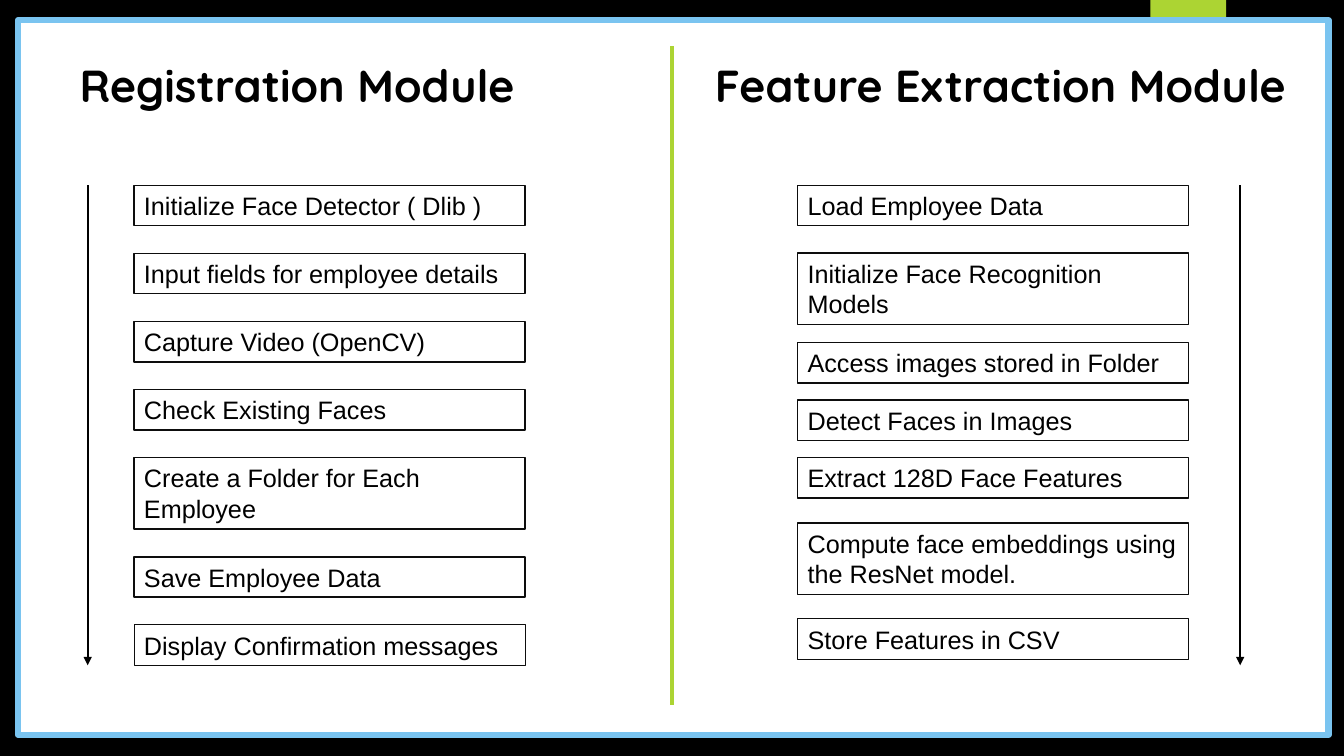
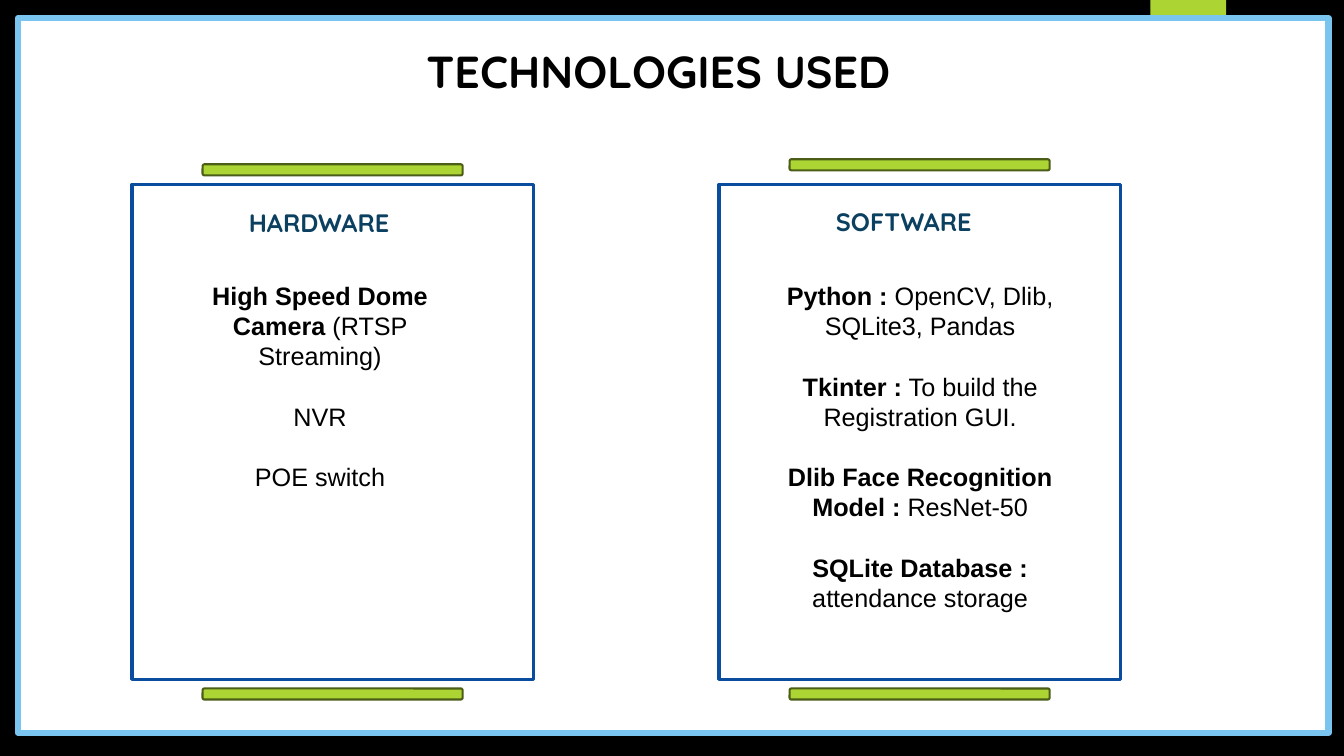
from lxml.etree import SubElement
from pptx import Presentation
from pptx.dml.color import RGBColor
from pptx.enum.shapes import MSO_CONNECTOR, MSO_SHAPE
from pptx.enum.text import MSO_ANCHOR, MSO_AUTO_SIZE, PP_ALIGN
from pptx.oxml.ns import qn
from pptx.util import Inches, Pt

COLORS = {
    "black": "000000", "white": "FFFFFF", "green": "ACD433", "olive": "4B5D16",
    "sky": "7AC4F0", "blue": "0A4D9E", "navy": "0B4060", "ink": "0D0D0D",
}
C = {name: RGBColor.from_string(value) for name, value in COLORS.items()}

prs = Presentation()
prs.slide_width, prs.slide_height = Inches(13.33), Inches(7.5)
COL, ROW = prs.slide_width / 40, prs.slide_height / 30


def box(s, x, y, w, h, fill=None, line=None, width=1, kind=MSO_SHAPE.RECTANGLE):
    sp = s.shapes.add_shape(kind, int(x * COL), int(y * ROW), int(w * COL), int(h * ROW))
    sp.shadow.inherit = False
    if fill:
        sp.fill.solid()
        sp.fill.fore_color.rgb = C[fill]
    else:
        sp.fill.background()
    if line:
        sp.line.color.rgb = C[line]
        sp.line.width = Pt(width)
    else:
        sp.line.fill.background()
    return sp


def write(sp, x, y, w, h, paragraphs, size=18, font="Arial", color="black",
          align=PP_ALIGN.LEFT, gap=0):
    sp.left, sp.top, sp.width, sp.height = int(x * COL), int(y * ROW), int(w * COL), int(h * ROW)
    tf = sp.text_frame
    tf.word_wrap = True
    tf.auto_size = MSO_AUTO_SIZE.SHAPE_TO_FIT_TEXT
    tf.vertical_anchor = MSO_ANCHOR.TOP
    for i, runs in enumerate(paragraphs):
        p = tf.add_paragraph() if i else tf.paragraphs[0]
        p.alignment = align
        p.space_before = Pt(gap if i else 0)
        for text, bold in runs:
            r = p.add_run()
            r.text = text
            r.font.name, r.font.size, r.font.bold = font, Pt(size), bold
            r.font.color.rgb = C[color]


background = prs.slide_master.background.fill
background.solid()
background.fore_color.rgb = C["black"]
layout = prs.slide_layouts[5]
TITLE = {"size": 32, "font": "Quicksand"}

modules, technologies = [prs.slides.add_slide(layout) for _ in range(2)]
tab = box(modules, 34.24, 0, 2.25, 5, "green")
layout.shapes._spTree.insert(2, tab._element)
for s, top in ((modules, 0.8), (technologies, 0.72)):
    frame = box(s, 0.54, top, 39, 28.36, "white", "sky", 4.5)
    s.shapes._spTree.insert(2, frame._element)

s = modules
write(s.shapes.title, 2.07, 2.08, 15.12, 2.56, [[("Registration Module", True)]], **TITLE)
write(s.shapes.add_textbox(0, 0, 0, 0), 20.98, 2.08, 17.94, 2.56,
      [[("Feature Extraction Module", True)]], **TITLE)

FIRST, LAST = 7.36, 26.4
HEIGHTS = {1: 1.6, 2: 2.84}
registration = [
    ("Initialize Face Detector ( Dlib )", 1),
    ("Input fields for employee details", 1),
    ("Capture Video (OpenCV)", 1),
    ("Check Existing Faces", 1),
    ("Create a Folder for Each Employee", 2),
    ("Save Employee Data", 1),
    ("Display Confirmation messages", 1),
]
extraction = [
    ("Load Employee Data", 1),
    ("Initialize Face Recognition Models", 2),
    ("Access images stored in Folder", 1),
    ("Detect Faces in Images", 1),
    ("Extract 128D Face Features", 1),
    ("Compute face embeddings using the ResNet model.", 2),
    ("Store Features in CSV", 1),
]
heights = [HEIGHTS[lines] for _, lines in registration]
gap = (LAST - FIRST - sum(heights)) / (len(heights) - 1)
registration_tops = [FIRST + sum(heights[:i]) + i * gap for i in range(len(heights))]
extraction_tops = [FIRST, 10.04, 13.6, 15.88, 18.16, 20.76, 24.56]

for x, steps, tops in ((3.99, registration, registration_tops),
                       (23.74, extraction, extraction_tops)):
    for (text, lines), y in zip(steps, tops):
        place = (x, y, 11.64, HEIGHTS[lines])
        width = 0.75 if y == tops[-1] else 1
        write(box(s, *place, line="ink", width=width), *place, [[(text, False)]])

for x, top, bottom, color, width, arrow in (
        (20, 1.84, 27.96, "green", 3, False),
        (2.61, FIRST, LAST, "black", 1.5, True),
        (36.91, FIRST, LAST, "black", 1.5, True)):
    line = s.shapes.add_connector(MSO_CONNECTOR.STRAIGHT, int(x * COL), int(top * ROW),
                                  int(x * COL), int(bottom * ROW))
    line.line.color.rgb = C[color]
    line.line.width = Pt(width)
    spPr = line._element.spPr
    if arrow:
        SubElement(spPr.get_or_add_ln(), qn("a:tailEnd"), type="triangle")
    SubElement(spPr, qn("a:effectLst"))

s = technologies
write(s.shapes.title, 12.39, 1.52, 24.22, 2.56, [[("TECHNOLOGIES USED", True)]], **TITLE)

hardware = [
    [("High Speed Dome Camera", True), (" (RTSP Streaming)", False)],
    [("NVR", False)],
    [("POE switch", False)],
]
software = [
    [("Python : ", True), ("OpenCV, Dlib, SQLite3, Pandas", False)],
    [("Tkinter :", True), (" To build the Registration GUI.", False)],
    [("Dlib Face Recognition Model : ", True), ("ResNet-50", False)],
    [("SQLite Database :", True), (" attendance storage", False)],
]
for x, bar_top, heading, heading_top, body, body_place in (
        (3.93, 6.52, "HARDWARE", 8.04, hardware, (5.25, 10.92, 8.55, 8.88)),
        (21.4, 6.32, "SOFTWARE", 8, software, (21.97, 10.92, 10.83, 14.96))):
    box(s, x, 7.32, 11.94, 19.64, line="blue", width=2.25)
    for y in (bar_top, 27.32):
        box(s, x + 2.1, y, 7.74, 0.44, "green", "olive", 1.5, MSO_SHAPE.ROUNDED_RECTANGLE)
    write(s.shapes.add_textbox(0, 0, 0, 0), x + 3.18, heading_top, 5.58, 1.6,
          [[(heading, True)]], font="Quicksand", color="navy")
    write(s.shapes.add_textbox(0, 0, 0, 0), *body_place, body,
          align=PP_ALIGN.CENTER, gap=21.6)

prs.save("out.pptx")
